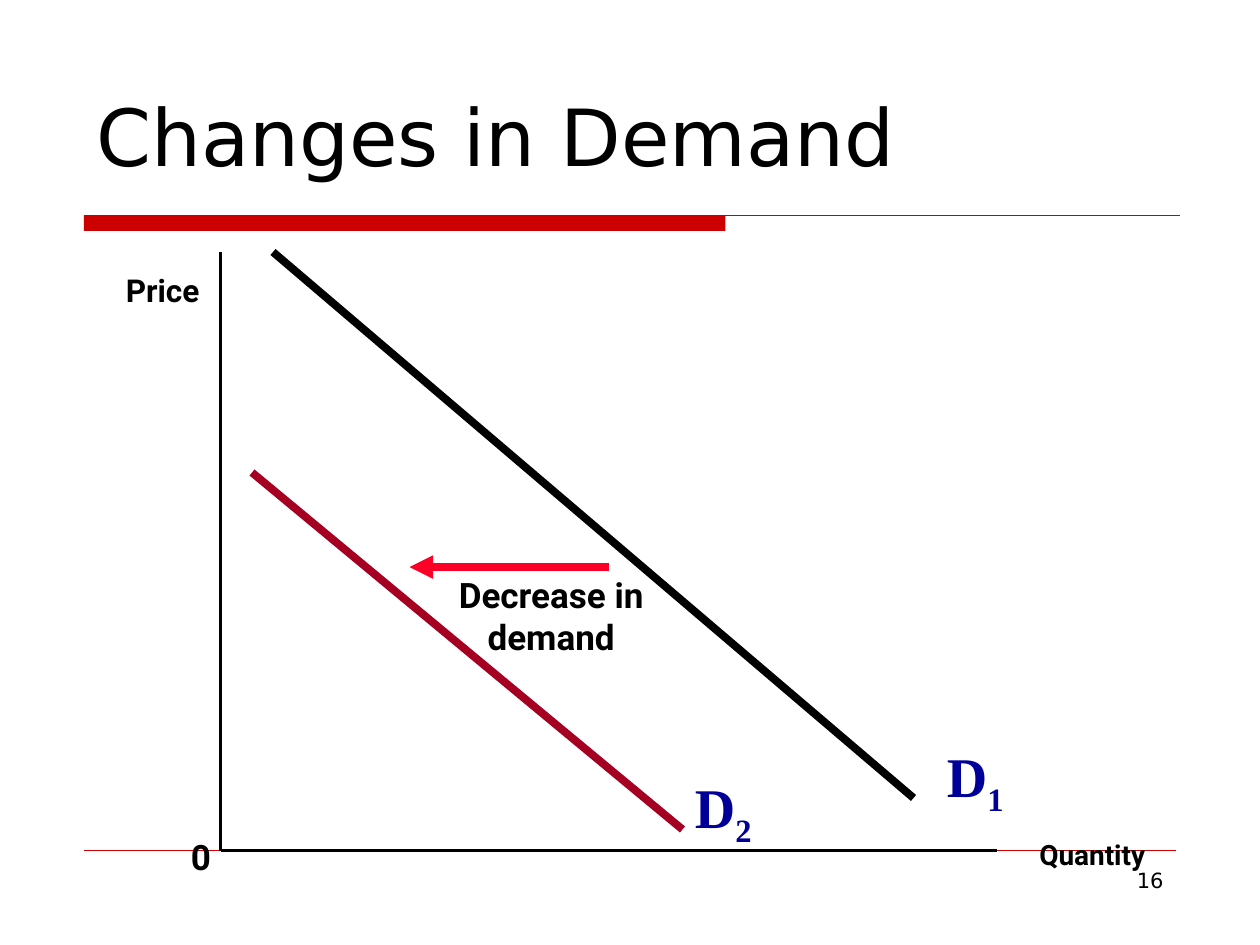
"""Builds the slide "Changes in Demand" on a grid of 120 columns by 90 rows."""
from lxml import etree
from pptx import Presentation
from pptx import util as u
from pptx.dml.color import RGBColor
from pptx.enum import shapes, text
from pptx.oxml.ns import qn

BLACK = RGBColor(0x00, 0x00, 0x00)
RULE_RED = RGBColor(0xCC, 0x00, 0x00)
ARROW_RED = RGBColor(0xFC, 0x01, 0x28)
DARK_RED = RGBColor(0xA5, 0x00, 0x21)
NAVY = RGBColor(0x00, 0x00, 0x99)

prs = Presentation()
prs.slide_width, prs.slide_height = u.Inches(10), u.Inches(7.5)
COL, ROW = prs.slide_width / 120, prs.slide_height / 90
s = prs.slides.add_slide(prs.slide_layouts[5])


def grid(x, y):
    return int(x * COL), int(y * ROW)


def write(sp, words, sub="", font="Roboto", size=20, color=BLACK, bold=True,
          align=text.PP_ALIGN.LEFT, anchor=text.MSO_ANCHOR.TOP):
    tf = sp.text_frame
    tf.word_wrap = True
    tf.auto_size = text.MSO_AUTO_SIZE.NONE
    tf.vertical_anchor = anchor
    p = tf.paragraphs[0]
    p.alignment = align
    for part in filter(None, (words, sub)):
        r = p.add_run()
        r.text = part
        r.font.name, r.font.size, r.font.bold = font, u.Pt(size), bold
        r.font.color.rgb = color
    if sub:
        r.font._element.set("baseline", "-25000")


bar = s.shapes.add_shape(shapes.MSO_SHAPE.RECTANGLE, *grid(8, 20.5), *grid(61.1, 1.5))
bar.shadow.inherit = False
bar.fill.solid()
bar.fill.fore_color.rgb = RULE_RED
bar.line.fill.background()

lines = [
    ((8, 20.5), (112.4, 20.5), RULE_RED, 0.75, False),
    ((8, 81), (112, 81), RULE_RED, 0.25, False),
    ((21, 24), (21, 81), BLACK, 2.25, False),
    ((21, 81), (95, 81), BLACK, 2.25, False),
    ((26, 24), (87, 76), BLACK, 4.5, False),
    ((24, 45), (65, 79), DARK_RED, 4.5, False),
    ((58, 54), (39, 54), ARROW_RED, 4.5, True),
]
for start, end, color, width, arrow in lines:
    line = s.shapes.add_connector(shapes.MSO_CONNECTOR.STRAIGHT, *grid(*start), *grid(*end))
    line.line.color.rgb, line.line.width = color, u.Pt(width)
    if arrow:
        etree.SubElement(line.line._get_or_add_ln(), qn("a:tailEnd"), type="triangle")
    etree.SubElement(line._element.spPr, qn("a:effectLst"))

title = s.shapes.title
title.left, title.top = grid(8, 3)
title.width, title.height = grid(102, 15)
write(title, "Changes in Demand", font="DejaVu Sans", size=45, bold=False,
      anchor=text.MSO_ANCHOR.BOTTOM)

curve = dict(font="Times New Roman", size=32, color=NAVY)
labels = [
    ((17, 79), (10, 5.3), "0", {}),
    ((10.8, 25.2), (13.7, 4.8), "Price", dict(size=18)),
    ((97.8, 79.2), (20, 4.4), "Quantity", dict(size=16)),
    ((89, 70), (10, 8.5), "D", dict(curve, sub="1")),
    ((65, 73), (10, 8.5), "D", dict(curve, sub="2")),
    ((39, 54), (27, 9.2), "Decrease in demand", dict(align=text.PP_ALIGN.CENTER)),
    ((86, 82), (26, 6.2), "16", dict(font="DejaVu Sans", size=12, bold=False,
                                     align=text.PP_ALIGN.RIGHT)),
]
for place, size, words, style in labels:
    write(s.shapes.add_textbox(*grid(*place), *grid(*size)), words, **style)

prs.save("out.pptx")
